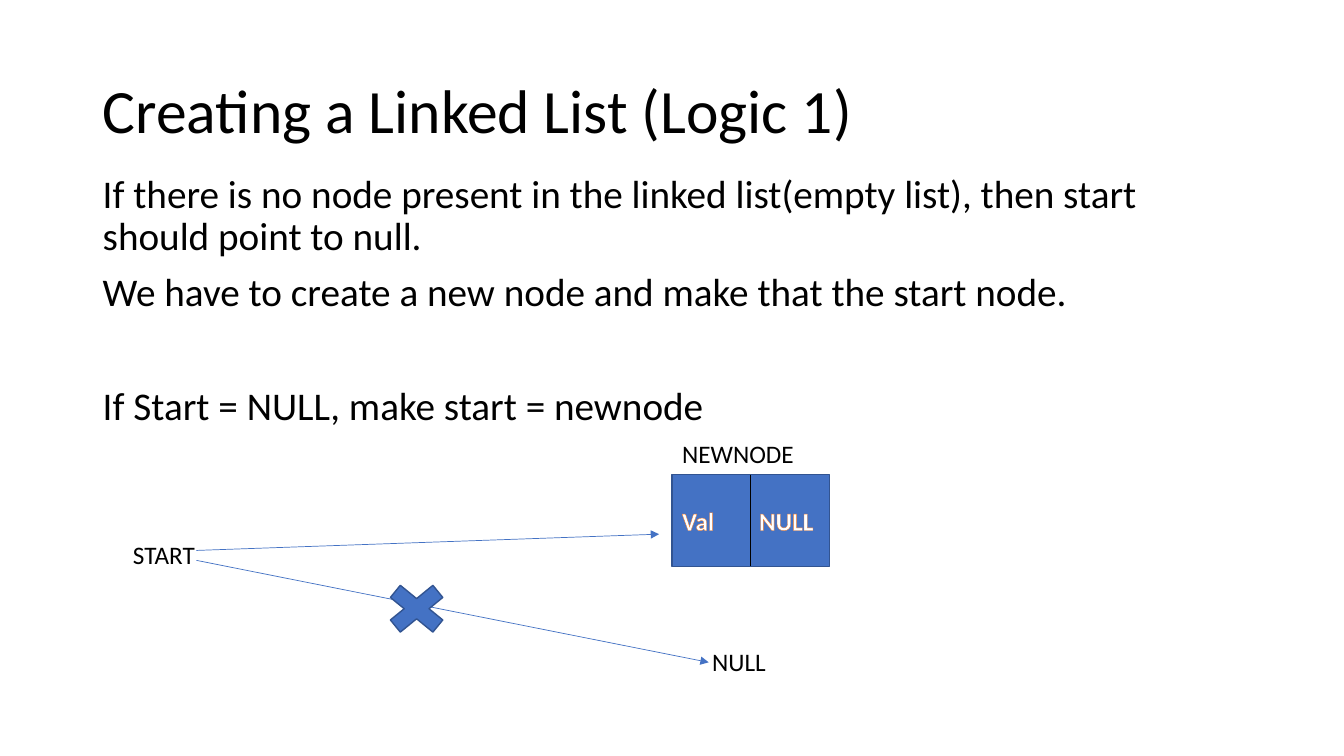
from lxml.etree import SubElement
from pptx import Presentation
from pptx.dml.color import RGBColor
from pptx.enum.shapes import MSO_CONNECTOR, MSO_SHAPE
from pptx.enum.text import MSO_ANCHOR, PP_ALIGN
from pptx.oxml import parse_xml
from pptx.oxml.ns import nsdecls, qn
from pptx.util import Cm, Pt

BLACK = RGBColor(0x00, 0x00, 0x00)
WHITE = RGBColor(0xFF, 0xFF, 0xFF)
BLUE = RGBColor(0x44, 0x72, 0xC4)
DARK_BLUE = RGBColor(0x32, 0x54, 0x91)
ORANGE = RGBColor(0xED, 0x7D, 0x31)
FONT = "Calibri"


def add_run(paragraph, text, size, color=BLACK, bold=False):
    run = paragraph.add_run()
    run.text = text
    run.font.name = FONT
    run.font.size = Pt(size)
    run.font.bold = bold
    run.font.color.rgb = color
    return run


def add_text(slide, left, top, width, height, entries, size,
             anchor=MSO_ANCHOR.TOP, line_spacing=1.0):
    """Add a text box; entries are (text, space before in points) pairs."""
    box = slide.shapes.add_textbox(Cm(left), Cm(top), Cm(width), Cm(height))
    frame = box.text_frame
    frame.word_wrap = True
    frame.vertical_anchor = anchor
    for index, (text, space_before) in enumerate(entries):
        paragraph = frame.add_paragraph() if index else frame.paragraphs[0]
        paragraph.line_spacing = line_spacing
        paragraph.space_before = Pt(space_before)
        add_run(paragraph, text, size)


def add_label(slide, left, top, width, text):
    add_text(slide, left, top, width, 1.02, [(text, 0)], 18)


def add_blue_shape(slide, kind, left, top, width, height):
    shape = slide.shapes.add_shape(kind, Cm(left), Cm(top), Cm(width), Cm(height))
    shape.shadow.inherit = False
    shape.fill.solid()
    shape.fill.fore_color.rgb = BLUE
    shape.line.color.rgb = DARK_BLUE
    shape.line.width = Pt(1)
    return shape


def add_line(slide, start, end, color, arrow=False):
    points = [Cm(value) for value in (*start, *end)]
    connector = slide.shapes.add_connector(MSO_CONNECTOR.STRAIGHT, *points)
    connector.line.color.rgb = color
    connector.line.width = Pt(0.5)
    if arrow:
        SubElement(connector.line._get_or_add_ln(), qn("a:tailEnd"), type="triangle")
    SubElement(connector._element.spPr, qn("a:effectLst"))


def add_node(slide, left, top, width, height, value, pointer):
    node = add_blue_shape(slide, MSO_SHAPE.RECTANGLE, left, top, width, height)
    frame = node.text_frame
    frame.vertical_anchor = MSO_ANCHOR.MIDDLE
    paragraph = frame.paragraphs[0]
    paragraph.alignment = PP_ALIGN.LEFT

    # A tab stop places the pointer in the right half
    tabs = SubElement(paragraph._p.get_or_add_pPr(), qn("a:tabLst"))
    SubElement(tabs, qn("a:tab"), pos=str(Cm(1.94)), algn="l")
    run = add_run(paragraph, f"{value}\t{pointer}", 18, WHITE, bold=True)

    # Orange outline around the letters
    outline = parse_xml(
        f'<a:ln {nsdecls("a")} w="{Pt(1.75)}"><a:solidFill>'
        f'<a:srgbClr val="{ORANGE}"/></a:solidFill></a:ln>')
    run.font._element.insert(0, outline)

    middle = left + width / 2
    add_line(slide, (middle, top), (middle, top + height), BLACK)


def main():
    presentation = Presentation()
    presentation.slide_width = Cm(33.87)
    presentation.slide_height = Cm(19.05)
    slide = presentation.slides.add_slide(presentation.slide_layouts[6])

    # Title and explanation
    add_text(slide, 2.34, 1.02, 29.21, 3.68,
             [("Creating a Linked List (Logic 1)", 0)], 44, MSO_ANCHOR.MIDDLE, 0.9)
    add_text(slide, 2.34, 4.27, 29.21, 12.9, [
        ("If there is no node present in the linked list(empty list), "
         "then start should point to null.", 10),
        ("We have to create a new node and make that the start node.", 10),
        ("If Start = NULL, make start = newnode", 50.5),
    ], 28, line_spacing=0.9)

    # New node
    add_node(slide, 16.94, 11.96, 3.96, 2.31, "Val", "NULL")
    add_label(slide, 16.94, 10.92, 3.96, "NEWNODE")

    # Start pointer: the link to NULL is crossed out
    add_label(slide, 3.1, 13.46, 3.38, "START")
    add_label(slide, 17.7, 16.15, 4.5, "NULL")
    add_line(slide, (4.95, 14.12), (17.86, 16.69), BLUE, arrow=True)
    add_line(slide, (4.95, 13.87), (16.61, 13.46), BLUE, arrow=True)
    add_blue_shape(slide, MSO_SHAPE.MATH_MULTIPLY, 9.47, 14.5, 2.06, 1.68)

    presentation.save("out.pptx")


if __name__ == "__main__":
    main()
